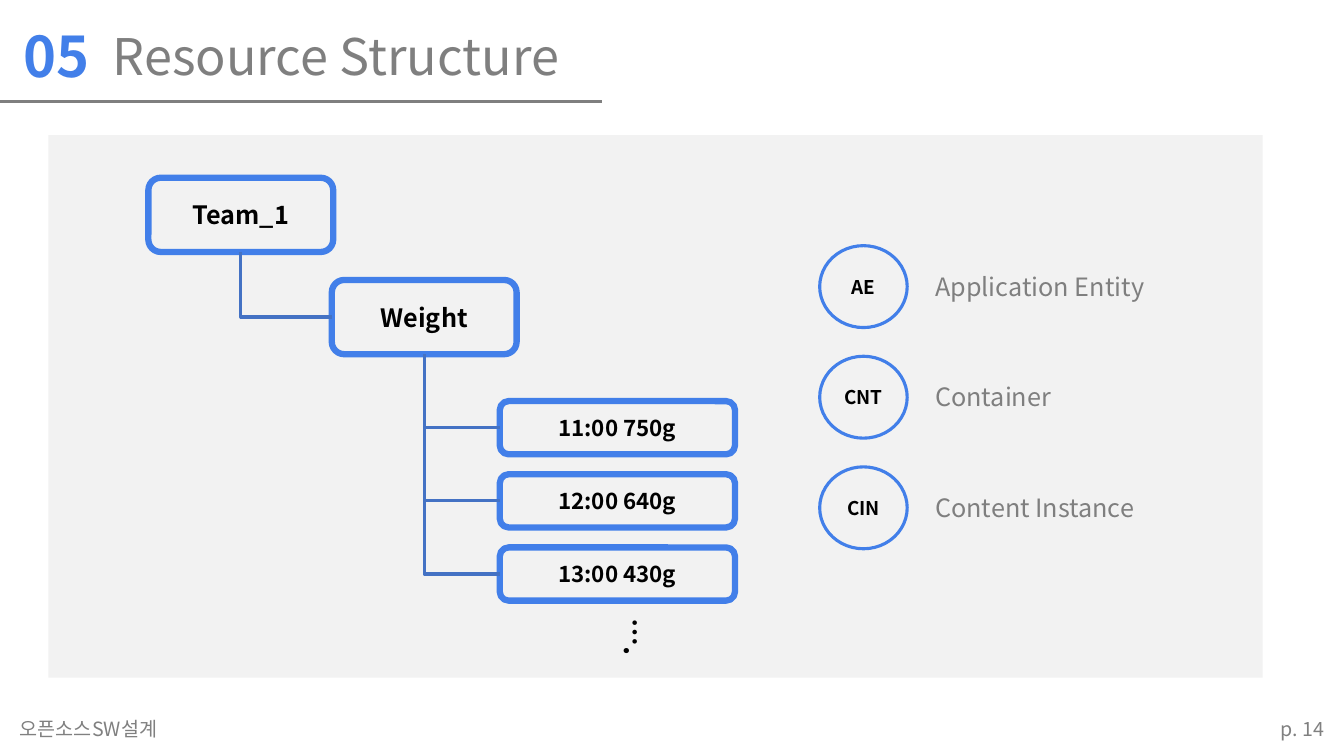
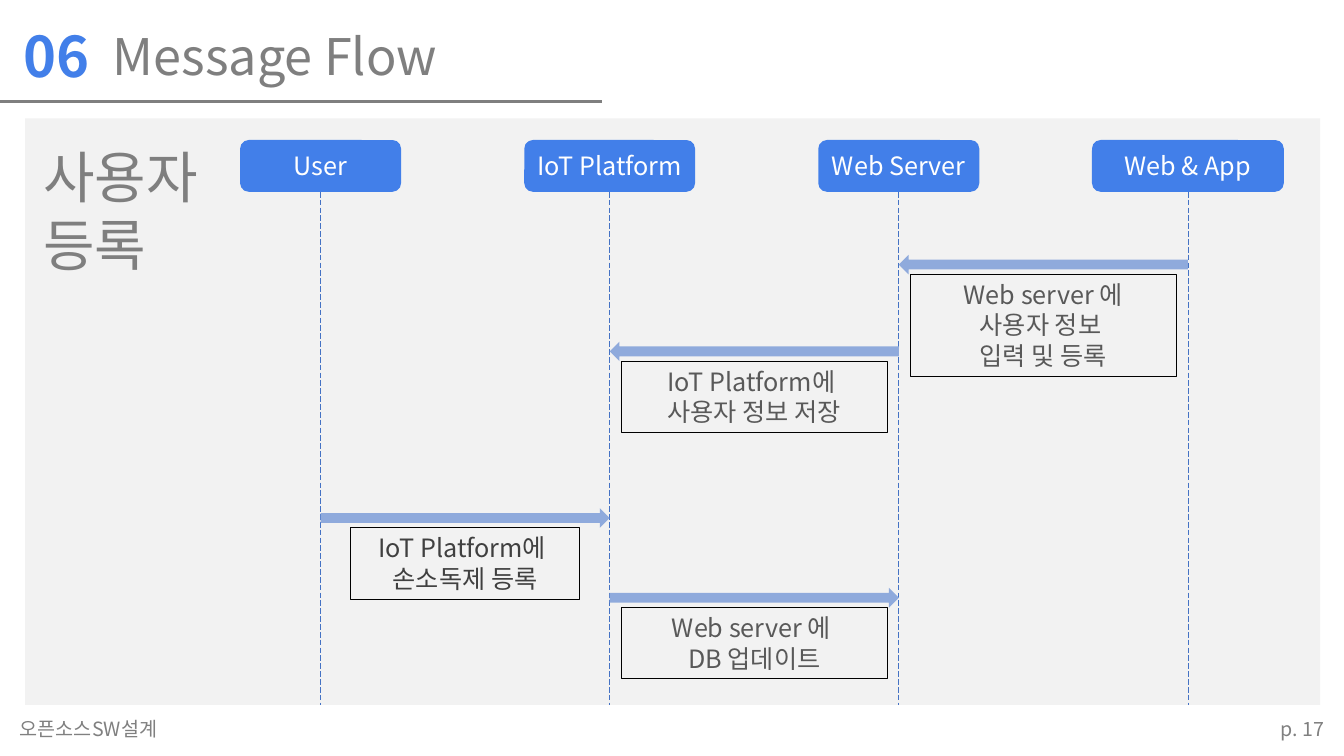
from lxml import etree
from pptx import Presentation
from pptx.dml.color import RGBColor
from pptx.enum.dml import MSO_LINE
from pptx.enum.shapes import MSO_CONNECTOR, MSO_SHAPE
from pptx.enum.text import MSO_ANCHOR, MSO_AUTO_SIZE, PP_ALIGN
from pptx.oxml.ns import qn
from pptx.util import Pt

LEFT, CENTER, RIGHT, JUSTIFY = PP_ALIGN.LEFT, PP_ALIGN.CENTER, PP_ALIGN.RIGHT, PP_ALIGN.JUSTIFY
TOP, MIDDLE = MSO_ANCHOR.TOP, MSO_ANCHOR.MIDDLE
GROW, FIXED = MSO_AUTO_SIZE.SHAPE_TO_FIT_TEXT, MSO_AUTO_SIZE.NONE
RECT, ROUNDED, OVAL = MSO_SHAPE.RECTANGLE, MSO_SHAPE.ROUNDED_RECTANGLE, MSO_SHAPE.OVAL
ARROWS = {"right": MSO_SHAPE.RIGHT_ARROW, "left": MSO_SHAPE.LEFT_ARROW}
STRAIGHT, ELBOW = MSO_CONNECTOR.STRAIGHT, MSO_CONNECTOR.ELBOW
LONG_DASH = MSO_LINE.LONG_DASH
BOTTOM_SIDE, LEFT_SIDE = 0 + 2, 1

FONT = "Noto Sans CJK KR"
COLORS = {
    "accent": "427FE9", "link": "4472C4", "arrow": "8FAADC", "panel": "F2F2F2",
    "gray": "7F7F7F", "footer": "808080", "note": "595959", "dark note": "404040",
    "black": "000000", "white": "FFFFFF",
}
COLORS = {name: RGBColor.from_string(value) for name, value in COLORS.items()}

# Text styles: colour, frame settings, paragraph alignment and font settings
STYLES = {
    "number": ("accent", {"auto_size": GROW}, LEFT, {"size": Pt(40), "bold": True}),
    "title": ("gray", {"vertical_anchor": MIDDLE}, JUSTIFY, {"size": Pt(36)}),
    "course": ("footer", {"auto_size": GROW, "word_wrap": False}, LEFT, {"size": Pt(14)}),
    "page": ("footer", {"auto_size": GROW, "word_wrap": False}, RIGHT, {"size": Pt(14)}),
    "dots": ("black", {"auto_size": GROW, "word_wrap": False}, LEFT,
             {"size": Pt(20), "bold": True}),
    "node": ("black", {"vertical_anchor": MIDDLE}, CENTER, {"size": Pt(18), "bold": True}),
    "record": ("black", {"vertical_anchor": MIDDLE}, CENTER, {"size": Pt(16), "bold": True}),
    "badge": ("black", {"vertical_anchor": MIDDLE}, CENTER, {"size": Pt(13.5), "bold": True}),
    "legend": ("gray", {"auto_size": GROW}, LEFT, {"size": Pt(18)}),
    "scenario": ("gray", {"auto_size": GROW}, LEFT, {"size": Pt(40)}),
    "actor": ("white", {"vertical_anchor": MIDDLE}, CENTER, {"size": Pt(18)}),
    "note": ("note", {"auto_size": GROW}, CENTER, {"size": Pt(18)}),
    "dark note": ("dark note", {"auto_size": GROW}, CENTER, {"size": Pt(18)}),
}


def add_block(slide, box, kind=None, fill=None, line=None, text="", style=None):
    """Add a preset shape, or a text box when no kind is given; box is in points."""
    place = [Pt(value) for value in box]
    if kind is None:
        block = slide.shapes.add_textbox(*place)
    else:
        block = slide.shapes.add_shape(kind, *place)
        block.shadow.inherit = False
        if fill:
            block.fill.solid()
            block.fill.fore_color.rgb = COLORS[fill]
        else:
            block.fill.background()
        if line:
            block.line.color.rgb = COLORS[line[0]]
            block.line.width = Pt(line[1])
        else:
            block.line.fill.background()
    if not style:
        return block

    color, frame_format, align, font_format = STYLES[style]
    frame = block.text_frame
    defaults = {"word_wrap": True, "auto_size": FIXED, "vertical_anchor": TOP}
    for name, value in {**defaults, **frame_format}.items():
        setattr(frame, name, value)
    for index, words in enumerate(text.split("\n")):
        paragraph = frame.add_paragraph() if index else frame.paragraphs[0]
        paragraph.alignment = align
        run = paragraph.add_run()
        run.text = words
        for name, value in {"name": FONT, **font_format}.items():
            setattr(run.font, name, value)
        run.font.color.rgb = COLORS[color]
        etree.SubElement(run._r.get_or_add_rPr(), qn("a:ea"), typeface=FONT)
    return block


def add_link(slide, start, end, color, width, kind=STRAIGHT):
    """Add a connector between two points given in points."""
    link = slide.shapes.add_connector(kind, *[Pt(value) for value in (*start, *end)])
    link.line.color.rgb = COLORS[color]
    link.line.width = Pt(width)
    etree.SubElement(link._element.spPr, qn("a:effectLst"))
    return link


prs = Presentation()
prs.slide_width, prs.slide_height = Pt(960), Pt(540)

# Shared parts: panel, numbered title, rule and footer
slides = []
for number, title, page, panel in [
    ("05", "Resource Structure", "p. 14", (34.5, 96.5, 867.5, 387.5)),
    ("06", "Message Flow", "p. 17", (18, 84.5, 925, 419)),
]:
    slide = prs.slides.add_slide(prs.slide_layouts[6])
    add_block(slide, panel, RECT, fill="panel")
    add_block(slide, (10, 12, 69, 55.5), text=number, style="number")
    add_block(slide, (73.5, 7.5, 350, 64.5), text=title, style="title")
    add_link(slide, (0, 72.75), (430, 72.75), "gray", 2.25)
    add_block(slide, (7, 508.5, 120.5, 24.5), text="오픈소스SW설계", style="course")
    add_block(slide, (906.5, 508.5, 46.5, 24.5), text=page, style="page")
    slides.append(slide)
structure, flow = slides

# Resource tree: one team, one container, its records
FRAME = ("accent", 4.5)
team_box, weight_box = (106, 127, 132, 53), (237, 200, 132, 53)
team = add_block(structure, team_box, ROUNDED, line=FRAME, text="Team_1", style="node")
weight = add_block(structure, weight_box, ROUNDED, line=FRAME, text="Weight", style="node")
branches = [(team, team_box, weight, weight_box)]
for row, record in enumerate(["11:00 750g", "12:00 640g", "13:00 430g"]):
    record_box = (357, 286.5 + 52.25 * row, 168, 38)
    entry = add_block(structure, record_box, ROUNDED, line=FRAME, text=record, style="record")
    branches.append((weight, weight_box, entry, record_box))

# Branches run down from the parent, then right to the child
for parent, (left, top, width, height), child, child_box in branches:
    x1, y1 = left + width / 2, top + height
    x2, y2 = child_box[0], child_box[1] + child_box[3] / 2
    branch = add_link(structure, (x1, y1), (x2, y2), "link", 2.25, ELBOW)
    branch.begin_connect(parent, BOTTOM_SIDE)
    branch.end_connect(child, LEFT_SIDE)
    # A one-bend connector lies on its side: its width is the vertical run
    across, down = x2 - x1, y2 - y1
    branch.left, branch.top = Pt((x1 + x2 - down) / 2), Pt((y1 + y2 - across) / 2)
    branch.width, branch.height = Pt(down), Pt(across)
    properties = branch._element.spPr
    properties.find(qn("a:prstGeom")).set("prst", "bentConnector2")
    properties.find(qn("a:xfrm")).set("rot", "16200000")
    properties.find(qn("a:xfrm")).set("flipH", "1")

more = add_block(structure, (430.5, 435, 39, 30), text="….", style="dots")
more.text_frame._txBody.bodyPr.set("vert", "eaVert")

# Legend
for row, (short, meaning) in enumerate([
    ("AE", "Application Entity"), ("CNT", "Container"), ("CIN", "Content Instance"),
]):
    offset = 79 * row
    add_block(structure, (585.5, 175.5 + offset, 62.5, 58.5), OVAL,
              line=("accent", 2.25), text=short, style="badge")
    add_block(structure, (661, 190 + offset, 230, 29), text=meaning, style="legend")

# Message flow: scenario, actors and lifelines
add_block(flow, (24, 98.5, 230, 104.5), text="사용자\n등록", style="scenario")
LANE = 206.5
centers = [229 + LANE * lane for lane in range(4)]
actors = [("User", 115), ("IoT Platform", 122), ("Web Server", 115), ("Web & App", 137)]
for center, (name, width) in zip(centers, actors):
    actor = add_block(flow, (center - width / 2, 100, width, 37), ROUNDED,
                      fill="accent", text=name, style="actor")
    lifeline = add_link(flow, (center, 137), (center, 503.5), "link", 0.5)
    lifeline.line.dash_style = LONG_DASH
    lifeline.begin_connect(actor, BOTTOM_SIDE)

# Messages: lane, direction, top, note width and height, style, text
ARROW_HEIGHT = 14
for lane, direction, top, width, height, style, message in [
    (2, "left", 182, 190, 73, "note", "Web server 에\n사용자 정보 \n입력 및 등록"),
    (1, "left", 244, 190, 51, "note", "IoT Platform에 \n사용자 정보 저장"),
    (0, "right", 363, 164, 51, "dark note", "IoT Platform에 \n손소독제 등록"),
    (1, "right", 420, 190, 51, "note", "Web server 에 \nDB 업데이트"),
]:
    add_block(flow, (centers[lane], top, LANE, ARROW_HEIGHT), ARROWS[direction], fill="arrow")
    note_left = centers[lane] + (LANE - width) / 2
    add_block(flow, (note_left, top + ARROW_HEIGHT, width, height), RECT,
              line=("black", 0.75), text=message, style=style)

prs.save("out.pptx")
